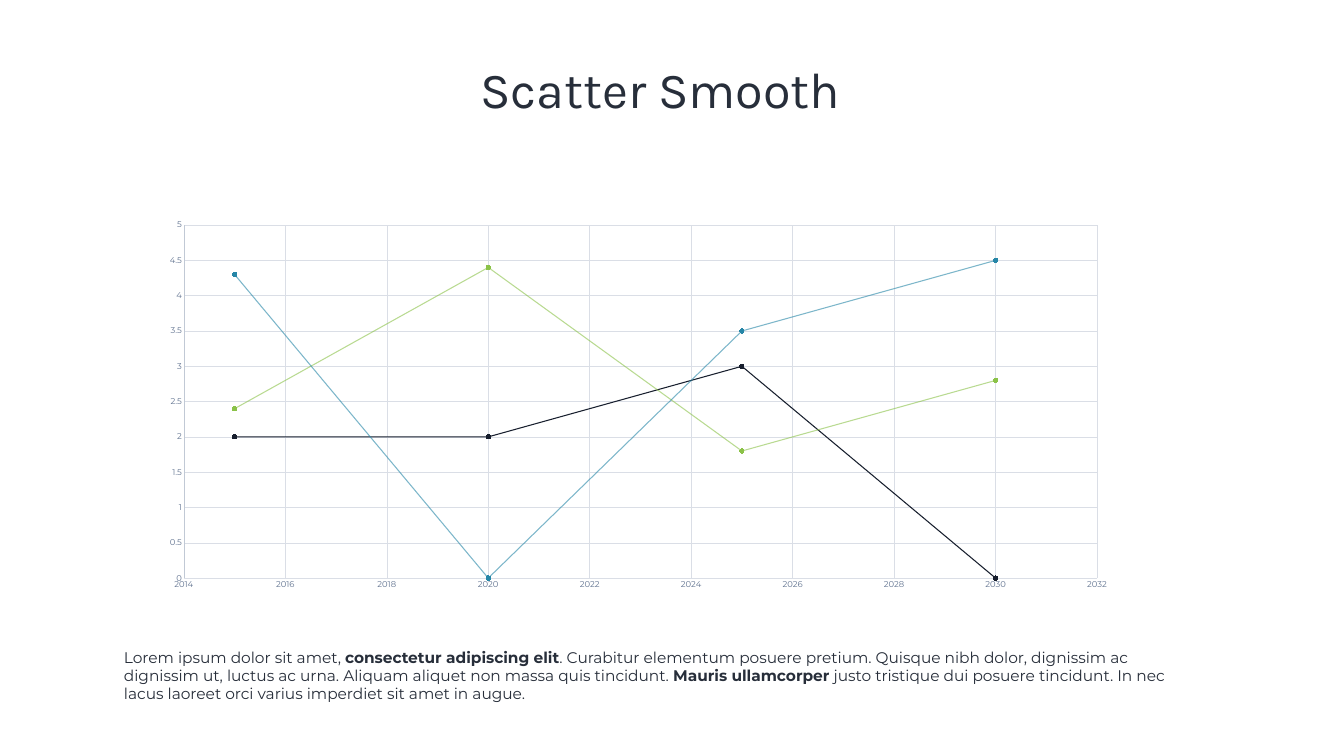
from dataclasses import dataclass

from lxml import etree
from pptx import Presentation
from pptx import util as u
from pptx.chart.data import XyChartData
from pptx.dml.color import RGBColor
from pptx.enum import chart as charts, text
from pptx.oxml import parse_xml
from pptx.oxml.ns import nsdecls, qn

WIDTH, HEIGHT = u.Inches(26.67), u.Inches(15)


@dataclass(frozen=True)
class Theme:
    """Colours, fonts and type sizes of the deck."""
    ink: str = "272E3A"
    label: str = "617390"
    grid: str = "DADEE6"
    axis: str = "C1C9D5"
    heading: str = "Karla"
    body: str = "Montserrat"
    title_size: int = 72
    body_size: int = 22
    label_size: int = 12


THEME = Theme()
YEARS = (2015, 2020, 2025, 2030)
SERIES = (
    ("Series 1", (4.3, 0, 3.5, 4.5), "2686A7", 60),
    ("Series 2", (2.4, 4.4, 1.8, 2.8), "8BC248", 60),
    ("Series 3", (2, 2, 3, 0), "181F2E", 100),
)
COPY = (
    ("Lorem ipsum dolor sit amet, ", False),
    ("consectetur adipiscing elit", True),
    (". Curabitur elementum posuere pretium. Quisque nibh dolor, dignissim ac "
     "dignissim ut, luctus ac urna. Aliquam aliquet non massa quis tincidunt. ", False),
    ("Mauris ullamcorper", True),
    (" justo tristique dui posuere tincidunt. In nec lacus laoreet orci varius "
     "imperdiet sit amet in augue.", False),
)


def share(left, top, width, height):
    """Turn percentages of the slide into a box."""
    return (int(WIDTH * left / 100), int(HEIGHT * top / 100),
            int(WIDTH * width / 100), int(HEIGHT * height / 100))


def style_font(font, name, size, colour, bold=False):
    """Set the face, size, colour and weight of a font."""
    font.name, font.size, font.bold = name, u.Pt(size), bold
    font.color.rgb = RGBColor.from_string(colour)


def style_line(line, colour, width, opacity=100):
    """Set the colour, width and opacity of a line."""
    line.color.rgb = RGBColor.from_string(colour)
    line.width = u.Pt(width)
    if opacity < 100:
        colour_node = line.fill._xPr.find(".//" + qn("a:srgbClr"))
        etree.SubElement(colour_node, qn("a:alpha"), val=str(opacity * 1000))


def set_insets(frame, side, end):
    """Set the inner margins of a text frame in inches."""
    frame.margin_left = frame.margin_right = u.Inches(side)
    frame.margin_top = frame.margin_bottom = u.Inches(end)


def add_title(page, box, wording):
    """Place the heading in the title placeholder."""
    title = page.shapes.title
    title.left, title.top, title.width, title.height = box
    frame = title.text_frame
    frame.text = wording
    frame.vertical_anchor = text.MSO_ANCHOR.MIDDLE
    set_insets(frame, 0.27, 0.13)
    para = frame.paragraphs[0]
    para.alignment = text.PP_ALIGN.CENTER
    style_font(para.runs[0].font, THEME.heading, THEME.title_size, THEME.ink)


def style_axis(axis, line_colour, low, high, step):
    """Set the scale, grid and labels of one axis."""
    axis.minimum_scale, axis.maximum_scale, axis.major_unit = low, high, step
    axis.has_major_gridlines = True
    axis.major_tick_mark = axis.minor_tick_mark = charts.XL_TICK_MARK.NONE
    style_line(axis.major_gridlines.format.line, THEME.grid, 0.75)
    style_line(axis.format.line, line_colour, 0.75)
    style_font(axis.tick_labels.font, THEME.body, THEME.label_size, THEME.label)
    axis.tick_labels.number_format = "General"
    axis.tick_labels.number_format_is_linked = False


def set_plot_box(chart, **shares):
    """Fix the inner plot area as shares of the chart box."""
    area = chart._chartSpace.find(".//" + qn("c:plotArea"))
    for old in area.findall(qn("c:layout")):
        area.remove(old)
    places = "".join(f'<c:{key} val="{value}"/>' for key, value in shares.items())
    area.insert(0, parse_xml(
        f'<c:layout {nsdecls("c")}><c:manualLayout><c:layoutTarget val="inner"/>'
        f'<c:xMode val="edge"/><c:yMode val="edge"/>{places}</c:manualLayout></c:layout>'))


def add_scatter(page, box):
    """Place the smooth scatter chart."""
    data = XyChartData()
    for name, values, *_ in SERIES:
        points = data.add_series(name)
        for year, value in zip(YEARS, values):
            points.add_data_point(year, value)
    chart = page.shapes.add_chart(charts.XL_CHART_TYPE.XY_SCATTER_SMOOTH, *box, data).chart
    chart.has_legend = chart.has_title = False
    style_font(chart.font, THEME.body, 10, THEME.ink)
    chart.plots[0].vary_by_categories = False
    style_axis(chart.category_axis, THEME.grid, 2014, 2032, 2)
    style_axis(chart.value_axis, THEME.axis, 0, 5, 0.5)
    set_plot_box(chart, x=0.034, y=0.031, w=0.935, h=0.918)
    for series, (_, _, colour, opacity) in zip(chart.plots[0].series, SERIES):
        series.smooth = True
        style_line(series.format.line, colour, 1.5, opacity)
        marker = series.marker
        marker.style, marker.size = charts.XL_MARKER_STYLE.CIRCLE, 6
        marker.format.fill.solid()
        marker.format.fill.fore_color.rgb = RGBColor.from_string(colour)
        style_line(marker.format.line, colour, 0.75)


def add_caption(page, box):
    """Place the paragraph below the chart."""
    frame = page.shapes.add_textbox(*box).text_frame
    frame.word_wrap = True
    set_insets(frame, 0.2, 0.1)
    for wording, bold in COPY:
        span = frame.paragraphs[0].add_run()
        span.text = wording
        style_font(span.font, THEME.body, THEME.body_size, THEME.ink, bold)


def main():
    """Build and save the deck."""
    deck = Presentation()
    deck.slide_width, deck.slide_height = WIDTH, HEIGHT
    page = deck.slides.add_slide(deck.slide_layouts[5])
    add_title(page, share(3.34, 7.07, 91.6, 9.27), "Scatter Smooth")
    add_scatter(page, share(11.21, 28.2, 72.67, 50.87))
    add_caption(page, share(8.47, 85, 81.36, 8.93))
    deck.save("out.pptx")


if __name__ == "__main__":
    main()
